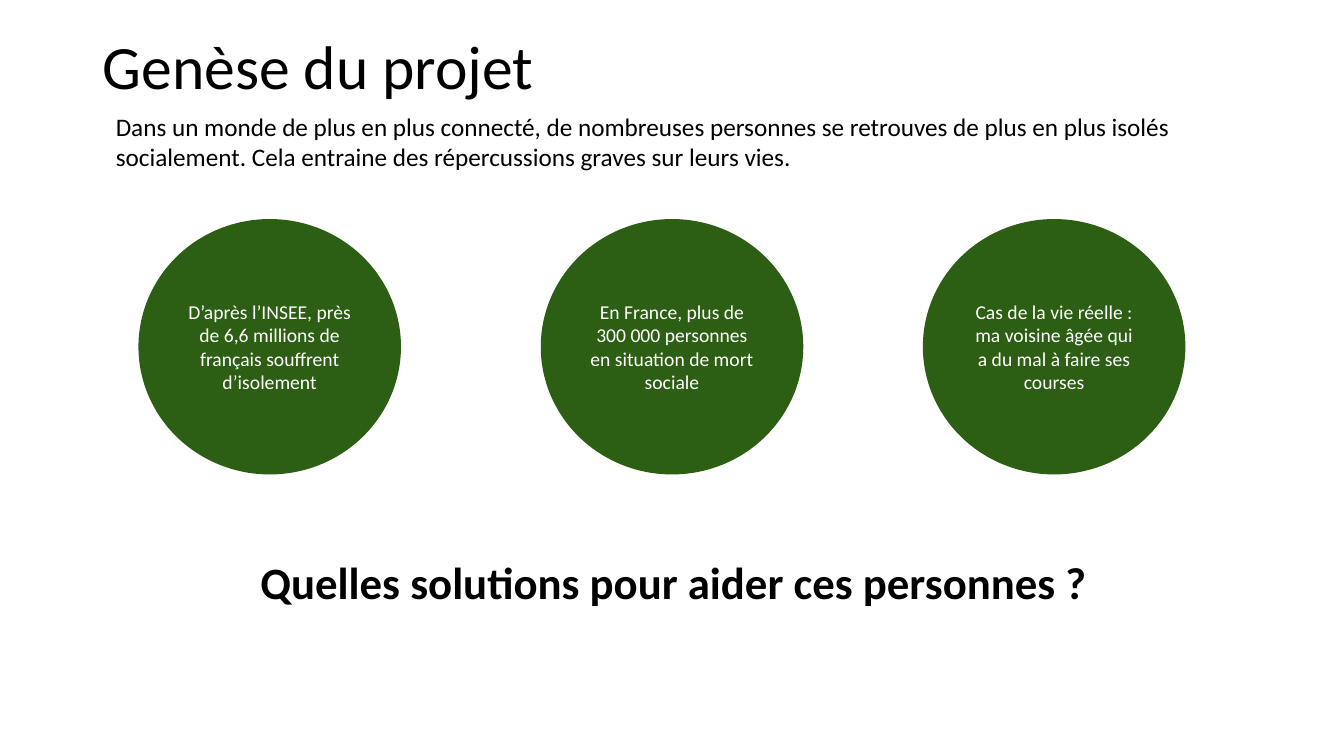
from dataclasses import dataclass

from pptx import Presentation
from pptx import util as u
from pptx.dml.color import RGBColor
from pptx.enum import shapes, text

COLOURS = {"ink": "000000", "green": "2C5F13", "white": "FFFFFF"}
FONT = "Calibri"
CIRCLE_TOP, CIRCLE_WIDTH, CIRCLE_HEIGHT = 2.18, 2.59, 2.52


@dataclass
class Label:
    wording: str
    size: int
    colour: str = "ink"
    bold: bool = False
    align: text.PP_ALIGN = text.PP_ALIGN.LEFT
    anchor: text.MSO_ANCHOR = text.MSO_ANCHOR.TOP


@dataclass
class Fact:
    left: float
    wording: str


FACTS = [
    Fact(1.38, "D’après l’INSEE, près de 6,6 millions de français souffrent d’isolement"),
    Fact(5.37, "En France, plus de 300 000 personnes en situation de mort sociale"),
    Fact(9.16, "Cas de la vie réelle : ma voisine âgée qui a du mal à faire ses courses"),
]


def colour(name: str) -> RGBColor:
    return RGBColor.from_string(COLOURS[name])


def write(shape, label: Label):
    """Fill a shape with one formatted paragraph."""
    frame = shape.text_frame
    frame.word_wrap = True
    frame.auto_size = text.MSO_AUTO_SIZE.NONE
    frame.vertical_anchor = label.anchor
    para = frame.paragraphs[0]
    para.text = label.wording
    para.alignment = label.align
    para.font.name = FONT
    para.font.size = u.Pt(label.size)
    para.font.bold = label.bold
    para.font.color.rgb = colour(label.colour)
    return para


def add_text(page, left: float, top: float, width: float, height: float, label: Label) -> None:
    box = page.shapes.add_textbox(
        u.Inches(left), u.Inches(top), u.Inches(width), u.Inches(height))
    write(box, label)


def add_title(page, wording: str) -> None:
    title = page.shapes.title
    title.left, title.top = u.Inches(0.92), u.Inches(0.15)
    title.width, title.height = u.Inches(11.5), u.Inches(1.07)
    para = write(title, Label(wording, 44, anchor=text.MSO_ANCHOR.MIDDLE))
    para.line_spacing = 0.9


def add_fact(page, fact: Fact) -> None:
    circle = page.shapes.add_shape(
        shapes.MSO_SHAPE.OVAL, u.Inches(fact.left), u.Inches(CIRCLE_TOP),
        u.Inches(CIRCLE_WIDTH), u.Inches(CIRCLE_HEIGHT))
    circle.shadow.inherit = False
    circle.fill.solid()
    circle.fill.fore_color.rgb = colour("green")
    circle.line.color.rgb = colour("green")
    circle.line.width = u.Pt(1)
    write(circle, Label(fact.wording, 14, "white", align=text.PP_ALIGN.CENTER,
                        anchor=text.MSO_ANCHOR.MIDDLE))


def main() -> None:
    deck = Presentation()
    deck.slide_width, deck.slide_height = u.Inches(13.33), u.Inches(7.5)
    page = deck.slides.add_slide(deck.slide_layouts.get_by_name("Title Only"))

    # Title and introduction
    add_title(page, "Genèse du projet")
    add_text(page, 1.05, 1.05, 11.2, 0.71, Label(
        "Dans un monde de plus en plus connecté, de nombreuses personnes se retrouves "
        "de plus en plus isolés socialement. Cela entraine des répercussions graves "
        "sur leurs vies.", 18))

    # Three facts in circles
    for fact in FACTS:
        add_fact(page, fact)

    # Closing question
    add_text(page, 0.92, 5.45, 11.53, 0.64, Label(
        "Quelles solutions pour aider ces personnes ?", 32, bold=True,
        align=text.PP_ALIGN.CENTER))

    deck.save("out.pptx")


if __name__ == "__main__":
    main()
